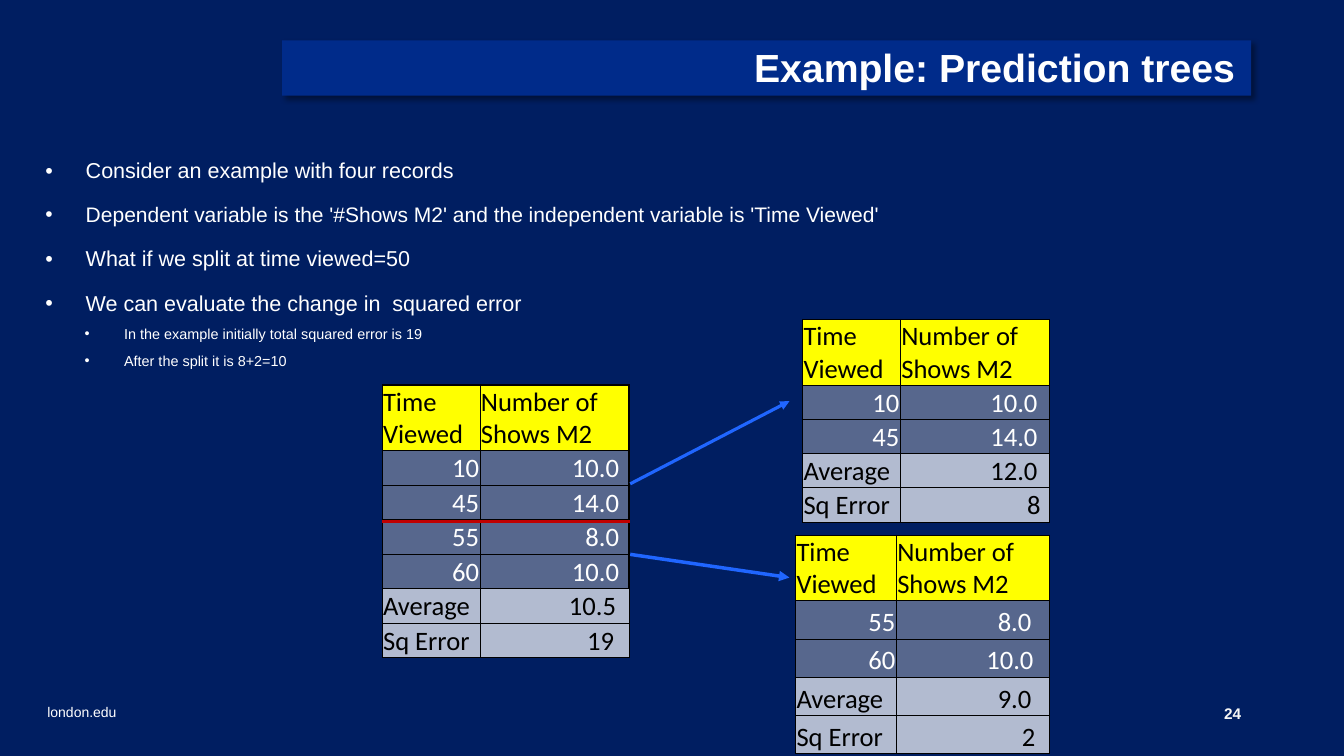
"""Build the prediction trees slide."""
from dataclasses import dataclass
from typing import Any, NamedTuple

from lxml.etree import SubElement
from pptx import Presentation
from pptx.dml.color import RGBColor
from pptx.enum.shapes import MSO_CONNECTOR
from pptx.enum.text import MSO_ANCHOR, MSO_AUTO_SIZE, PP_ALIGN
from pptx.oxml.ns import qn
from pptx.util import Emu, Inches, Pt

WIDTH, HEIGHT = Inches(13.33), Inches(7.5)


@dataclass(frozen=True)
class Theme:
    """Colours, fonts and type sizes of the slide."""
    back: str = "001E61"
    bar: str = "002B8A"
    white: str = "FFFFFF"
    pale: str = "F6F6F6"
    black: str = "000000"
    head: str = "FFFF00"
    data: str = "57678D"
    total: str = "B2BBD0"
    arrow: str = "2066FF"
    split: str = "C00000"
    sans: str = "Arial"
    grid: str = "Calibri"
    title: float = 28
    cell: float = 19
    point: float = 15.4
    long: float = 15
    sub: float = 10.3
    foot: float = 10
    page: float = 11


THEME = Theme()


class Box(NamedTuple):
    """A frame in percent of the slide's width and height."""
    left: float
    top: float
    width: float
    height: float


class Point(NamedTuple):
    """A bullet with its level and size."""
    text: str
    level: int = 0
    size: float = THEME.point


class Row(NamedTuple):
    """A table row; pad is the inset right of its value, in inches."""
    label: str
    value: str
    pad: float


class Grid(NamedTuple):
    """A table placed and sized in percent of the slide."""
    left: float
    top: float
    cols: tuple[float, float]
    step: float
    data: list[Row]
    totals: list[Row]


class Link(NamedTuple):
    """A line between two points in percent of the slide."""
    start: tuple[float, float]
    end: tuple[float, float]
    color: str
    weight: float
    arrow: bool = True


POINTS = [
    Point("Consider an example with four records"),
    Point("Dependent variable is the '#Shows M2' and the independent variable is 'Time Viewed'",
          size=THEME.long),
    Point("What if we split at time viewed=50"),
    Point("We can evaluate the change in  squared error"),
    Point("In the example initially total squared error is 19", 1, THEME.sub),
    Point("After the split it is 8+2=10", 1, THEME.sub),
]
HEADS = ("Time Viewed", "Number of Shows M2")
HEAD_ROW = 8.67
GRIDS = [
    Grid(28.43, 50.93, (7.28, 11.1), 4.56,
         [Row("10", "10.0", 0.1), Row("45", "14.0", 0.1),
          Row("55", "8.0", 0.1), Row("60", "10.0", 0.1)],
         [Row("Average", "10.5", 0.13), Row("Sq Error", "19", 0.15)]),
    Grid(59.71, 42.27, (7.28, 11.1), 4.53,
         [Row("10", "10.0", 0.12), Row("45", "14.0", 0.12)],
         [Row("Average", "12.0", 0.12), Row("Sq Error", "8", 0.09)]),
    Grid(59.19, 70.8, (7.5, 11.4), 5.04,
         [Row("55", "8.0", 0.18), Row("60", "10.0", 0.16)],
         [Row("Average", "9.0", 0.18), Row("Sq Error", "2", 0.14)]),
]
LINKS = [
    Link((46.89, 64), (58.74, 53.07), THEME.arrow, 2.25),
    Link((46.89, 73.33), (58.74, 76.4), THEME.arrow, 2.5),
    Link((28.43, 68.93), (46.89, 68.93), THEME.split, 2.25, False),
]


def wide(share: float) -> Emu:
    """Turn a percentage of the slide's width into a length."""
    return Emu(round(WIDTH * share / 100))


def high(share: float) -> Emu:
    """Turn a percentage of the slide's height into a length."""
    return Emu(round(HEIGHT * share / 100))


def write(para: Any, text: str, *, size: float, color: str = THEME.white,
          font: str = THEME.sans, bold: bool = False, align: Any = PP_ALIGN.LEFT,
          lead: float = 0.9, before: float = 0) -> None:
    """Put formatted text into a paragraph."""
    para.alignment, para.line_spacing, para.space_before = align, lead, Pt(before)
    run = para.add_run()
    run.text = text
    run.font.name, run.font.size, run.font.bold = font, Pt(size), bold
    run.font.color.rgb = RGBColor.from_string(color)


def paint(fill: Any, color: str) -> None:
    """Give a fill one solid colour."""
    fill.solid()
    fill.fore_color.rgb = RGBColor.from_string(color)


def inset(item: Any, left: float, top: float, right: float, low: float) -> None:
    """Set the inner margins of a frame or cell in inches."""
    item.margin_left, item.margin_top = Inches(left), Inches(top)
    item.margin_right, item.margin_bottom = Inches(right), Inches(low)


def place(shape: Any, box: Box, anchor: Any, pads: tuple[float, ...]) -> Any:
    """Move a text shape into its box and return its frame."""
    shape.left, shape.top = wide(box.left), high(box.top)
    shape.width, shape.height = wide(box.width), high(box.height)
    frame = shape.text_frame
    frame.word_wrap, frame.auto_size = True, MSO_AUTO_SIZE.NONE
    frame.vertical_anchor = anchor
    inset(frame, *pads)
    return frame


def shade(shape: Any) -> None:
    """Add a soft shadow below and right of a shape."""
    effect = SubElement(shape._element.spPr, qn("a:effectLst"))
    outer = SubElement(effect, qn("a:outerShdw"), blurRad=str(Pt(4)),
                       dist=str(Pt(3)), dir="2700000", algn="tl", rotWithShape="0")
    color = SubElement(outer, qn("a:srgbClr"), val=THEME.black)
    SubElement(color, qn("a:alpha"), val="40000")


def bullet(para: Any, level: int) -> None:
    """Give a paragraph a hanging bullet."""
    para.level = level
    props = para._p.get_or_add_pPr()
    props.set("marL", str(Inches((0.4, 0.78)[level])))
    props.set("indent", str(-Inches((0.4, 0.39)[level])))
    SubElement(props, qn("a:buChar"), char="•")


def frame_cell(cell: Any, outer: set[str]) -> None:
    """Draw the four borders of a cell, heavier on outer sides."""
    props = cell._tc.get_or_add_tcPr()
    for side in "LRTB":
        weight = Pt(1 if side in outer else 0.5)
        line = SubElement(props, qn(f"a:ln{side}"), w=str(weight))
        SubElement(SubElement(line, qn("a:solidFill")), qn("a:srgbClr"), val=THEME.black)


def draw_grid(slide: Any, grid: Grid) -> None:
    """Draw a table of heads, data rows and totals."""
    rows = [Row(*HEADS, 0.01), *grid.data, *grid.totals]
    size = HEAD_ROW + grid.step * (len(rows) - 1)
    table = slide.shapes.add_table(len(rows), 2, wide(grid.left), high(grid.top),
                                   wide(sum(grid.cols)), high(size)).table
    table.first_row = table.horz_banding = False
    for col, share in zip(table.columns, grid.cols):
        col.width = wide(share)
    for i, row in enumerate(rows):
        table.rows[i].height = high(grid.step if i else HEAD_ROW)
        data = 0 < i <= len(grid.data)
        fill = THEME.data if data else THEME.total if i else THEME.head
        for j, text in enumerate((row.label, row.value)):
            cell = table.cell(i, j)
            outer = {"LR"[j]} if i <= len(grid.data) else set()
            frame_cell(cell, outer if i else outer | {"T"})
            paint(cell.fill, fill)
            cell.vertical_anchor = MSO_ANCHOR.BOTTOM
            inset(cell, 0.01, 0.01, row.pad if j else 0.01, 0)
            right = data or (i and j)
            write(cell.text_frame.paragraphs[0], text, size=THEME.cell, font=THEME.grid,
                  color=THEME.white if data else THEME.black, lead=1,
                  align=PP_ALIGN.RIGHT if right else PP_ALIGN.LEFT)


def draw_link(slide: Any, link: Link) -> None:
    """Draw a line, with an arrowhead if asked."""
    (x, y), (u, v) = link.start, link.end
    line = slide.shapes.add_connector(MSO_CONNECTOR.STRAIGHT, wide(x), high(y), wide(u), high(v))
    line.line.width = Pt(link.weight)
    paint(line.line.fill, link.color)
    props = line._element.spPr
    if link.arrow:
        SubElement(props.find(qn("a:ln")), qn("a:tailEnd"), type="triangle")
    SubElement(props, qn("a:effectLst"))


def main() -> None:
    """Build and save the slide."""
    deck = Presentation()
    deck.slide_width, deck.slide_height = WIDTH, HEIGHT
    slide = deck.slides.add_slide(deck.slide_layouts[1])
    paint(slide.background.fill, THEME.back)
    title, body = slide.placeholders
    frame = place(title, Box(21, 5.33, 72.09, 7.33), MSO_ANCHOR.TOP, (0.1, 0.08, 0.16, 0.08))
    paint(title.fill, THEME.bar)
    shade(title)
    write(frame.paragraphs[0], "Example: Prediction trees", size=THEME.title,
          bold=True, align=PP_ALIGN.RIGHT)
    frame = place(body, Box(3.38, 20.13, 89.8, 34.53), MSO_ANCHOR.TOP, (0, 0.08, 0, 0.08))
    for i, point in enumerate(POINTS):
        para = frame.add_paragraph() if i else frame.paragraphs[0]
        bullet(para, point.level)
        write(para, point.text, size=point.size, before=(15, 8)[point.level] if i else 0)
    for grid in GRIDS:
        draw_grid(slide, grid)
    for link in LINKS:
        draw_link(slide, link)
    foot = slide.shapes.add_textbox(0, 0, 0, 0)
    frame = place(foot, Box(3.53, 89.87, 18.3, 6.13), MSO_ANCHOR.BOTTOM, (0, 0.05, 0.1, 0.05))
    write(frame.paragraphs[0], "london.edu", size=THEME.foot)
    page = slide.shapes.add_textbox(0, 0, 0, 0)
    frame = place(page, Box(89.27, 92.67, 3.83, 3.47), MSO_ANCHOR.MIDDLE, (0.1, 0.05, 0.1, 0.05))
    write(frame.paragraphs[0], "24", size=THEME.page, color=THEME.pale, bold=True,
          align=PP_ALIGN.RIGHT, lead=1)
    deck.save("out.pptx")


if __name__ == "__main__":
    main()
